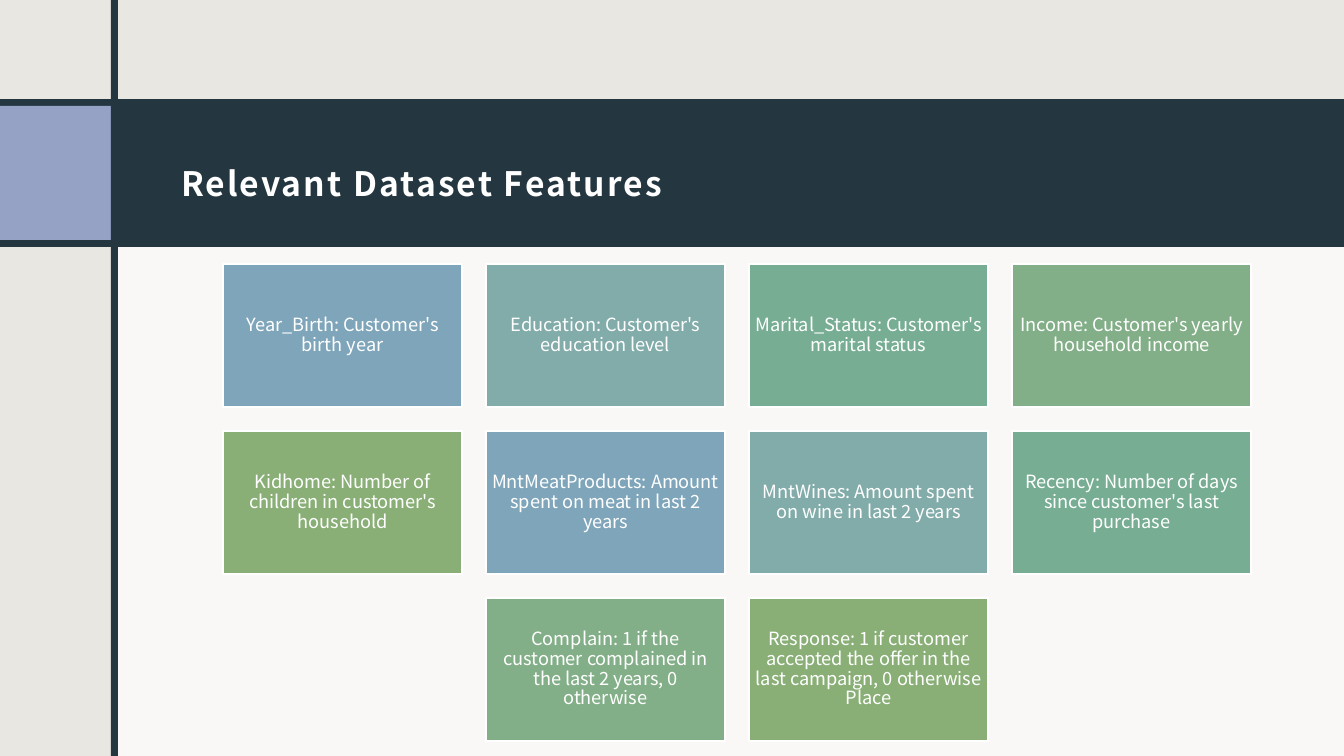
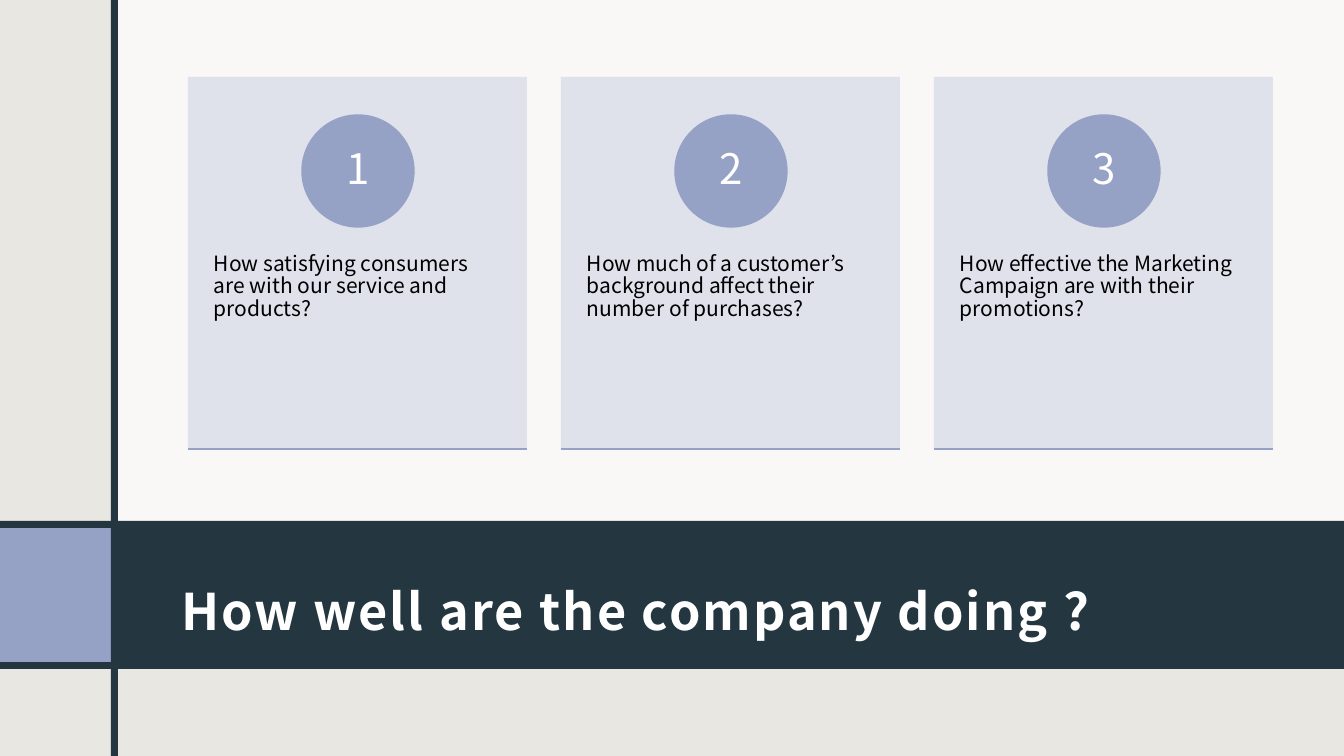
import pptx
import pptx.util
import pptx.dml.color
import pptx.enum.shapes
import pptx.enum.text
import pptx.oxml.ns
import lxml.etree

PX = 914400 / 100.8
WIDE, HIGH = 1344, 756
FONT = "Noto Sans CJK JP"
HUES = {
    "page": "E8E7E2", "white": "FFFFFF", "black": "000000",
    "navy": "243741", "lilac": "96A1C6", "pale": "DDE0EA",
    "blue": "7FA5BA", "teal": "82ACA9", "jade": "77AE93",
    "sage": "83AF88", "moss": "89AF77",
}
RGB = {name: pptx.dml.color.RGBColor.from_string(code) for name, code in HUES.items()}
KIND = pptx.enum.shapes.MSO_SHAPE
ALIGN = pptx.enum.text.PP_ALIGN
ANCHOR = pptx.enum.text.MSO_ANCHOR
qn = pptx.oxml.ns.qn


def box(slide, place, hue=None, edge=None, kind=KIND.RECTANGLE, alpha=None):
    area = [round(n * PX) for n in place]
    if hue is None:
        return slide.shapes.add_textbox(*area)
    shape = slide.shapes.add_shape(kind, *area)
    shape.shadow.inherit = False
    shape.fill.solid()
    shape.fill.fore_color.rgb = RGB[hue]
    if alpha:
        tint = shape.fill._xPr.find(qn("a:solidFill"))[0]
        lxml.etree.SubElement(tint, qn("a:alpha"), val=str(alpha * 1000))
    if edge:
        shape.line.color.rgb = RGB[edge]
        shape.line.width = pptx.util.Pt(1)
    else:
        shape.line.fill.background()
    return shape


def write(shape, text, size, hue, pads, lead=0.9, align=ALIGN.CENTER, anchor=ANCHOR.MIDDLE):
    frame = shape.text_frame
    frame.text = text
    frame.word_wrap = True
    frame.vertical_anchor = anchor
    left, top, right, base = [round(n * PX) for n in pads]
    frame.margin_left, frame.margin_top = left, top
    frame.margin_right, frame.margin_bottom = right, base
    para = frame.paragraphs[0]
    para.alignment = align
    para.line_spacing = lead
    font = para.runs[0].font
    font.name = FONT
    font.size = pptx.util.Pt(size)
    font.color.rgb = RGB[hue]
    return font


deck = pptx.Presentation()
deck.slide_width = round(WIDE * PX)
deck.slide_height = round(HIGH * PX)

heads = [
    ("Relevant Dataset Features", 24, 99, 235),
    ("How well are the company doing ?", 36, 521, 0),
]
slides = []
for title, size, band, veil in heads:
    slide = deck.slides.add_slide(deck.slide_layouts[6])
    slide.background.fill.solid()
    slide.background.fill.fore_color.rgb = RGB["page"]
    box(slide, (115, veil, WIDE - 115, 521), "white", alpha=75)
    box(slide, (0, band, WIDE, 148), "navy")
    label = box(slide, (169, band + 16, 1104, 114))
    font = write(label, title, size, "white", (12, 12, 12, 10), 1.5, ALIGN.LEFT)
    font.bold = True
    font._rPr.set("spc", "150")
    box(slide, (0, band + 7, 111, 134), "lilac")
    box(slide, (111, 0, 7, HIGH), "navy")
    slides.append(slide)

grid, cards = slides

tiles = [
    "Year_Birth: Customer's birth year",
    "Education: Customer's education level",
    "Marital_Status: Customer's marital status",
    "Income: Customer's yearly household income",
    "Kidhome: Number of children in customer's household",
    "MntMeatProducts: Amount spent on meat in last 2 years",
    "MntWines: Amount spent on wine in last 2 years",
    "Recency: Number of days since customer's last purchase",
    "Complain: 1 if the customer complained in the last 2 years, 0 otherwise",
    "Response: 1 if customer accepted the offer in the last campaign, 0 otherwise Place",
]
cycle = ["blue", "teal", "jade", "sage", "moss"]
cols = 4
for i, text in enumerate(tiles):
    row, col = divmod(i, cols)
    count = min(cols, len(tiles) - row * cols)
    left = 223 + 263 * (col + (cols - count) / 2)
    tile = box(grid, (left, 264 + 167 * row, 239, 143), cycle[i % len(cycle)], "white")
    write(tile, text, 13, "white", (5, 5, 5, 5))

asks = [
    "How satisfying consumers are with our service and products?",
    "How much of a customer’s background affect their number of purchases?",
    "How effective the Marketing Campaign are with their promotions?",
]
for i, text in enumerate(asks):
    left = 188 + 373 * i
    box(cards, (left, 77, 339, 372), "pale", alpha=90)
    body = box(cards, (left, 219, 339, 223))
    write(body, text, 15, "black", (26, 36, 26, 36), align=ALIGN.LEFT, anchor=ANCHOR.TOP)
    disc = box(cards, (left + 114, 115, 112, 112), "lilac", "lilac", KIND.OVAL)
    write(disc, str(i + 1), 30, "white", (9, 1, 9, 1))
    ends = [round(n * PX) for n in (left, 449, left + 339, 449)]
    rule = cards.shapes.add_connector(pptx.enum.shapes.MSO_CONNECTOR.STRAIGHT, *ends)
    rule.line.color.rgb = RGB["lilac"]
    rule.line.width = pptx.util.Pt(1)
    lxml.etree.SubElement(rule._element.spPr, qn("a:effectLst"))

deck.save("out.pptx")
